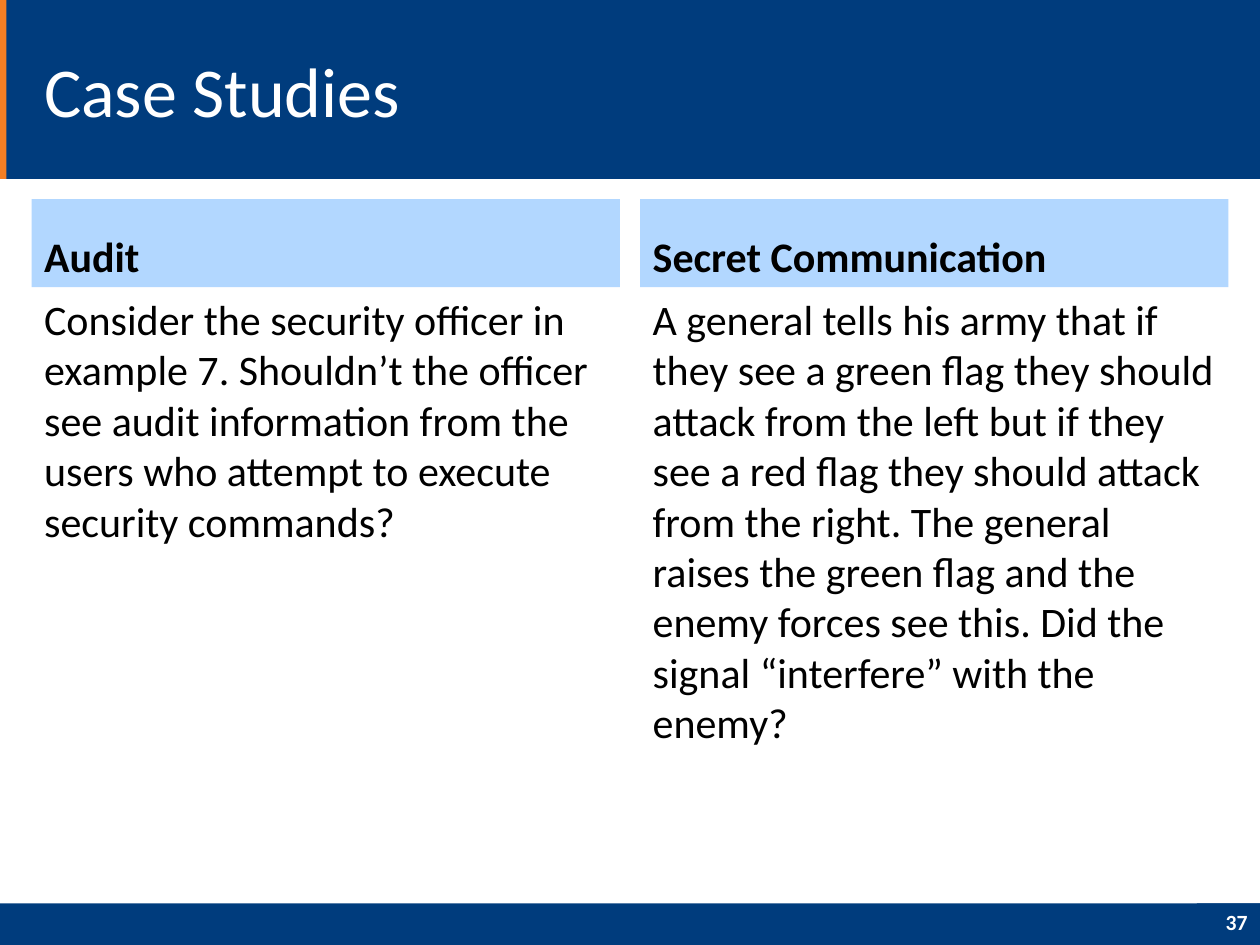
from lxml import etree
from pptx import Presentation
from pptx.dml.color import RGBColor
from pptx.enum import shapes, text
from pptx.oxml.ns import qn
from pptx.util import Inches, Pt

COLORS = {"navy": "003C7D", "orange": "F47F24", "sky": "B2D7FF",
          "black": "000000", "white": "FFFFFF"}
WIDTH, HEIGHT = 10, 7.5
MARGIN, COLUMN_WIDTH, COLUMN_STEP = 0.25, 4.67, 4.83
HEADING_TOP, HEADING_HEIGHT, BODY_HEIGHT = 1.58, 0.7, 4.72
BANNER_HEIGHT, FOOTER_HEIGHT = 1.42, 0.33
FOOTER_TOP = HEIGHT - FOOTER_HEIGHT

CASES = [
    ("Audit",
     "Consider the security officer in example 7. Shouldn’t the officer see "
     "audit information from the users who attempt to execute security commands?"),
    ("Secret Communication",
     "A general tells his army that if they see a green flag they should attack "
     "from the left but if they see a red flag they should attack from the right. "
     "The general raises the green flag and the enemy forces see this. Did the "
     "signal “interfere” with the enemy?"),
]


def write(shape, words, size=24, color="black", bold=False, align="LEFT",
          anchor="TOP", before=0, spacing=1.0):
    """Fill the shape with one unbulleted paragraph."""
    frame = shape.text_frame
    frame.word_wrap = True
    frame.auto_size = text.MSO_AUTO_SIZE.NONE
    frame.vertical_anchor = getattr(text.MSO_ANCHOR, anchor)
    frame.margin_left = frame.margin_right = Inches(0.1)
    frame.margin_top = frame.margin_bottom = Inches(0.05)

    paragraph = frame.paragraphs[0]
    paragraph.alignment = getattr(text.PP_ALIGN, align)
    paragraph.line_spacing = spacing
    paragraph.space_before = Pt(before)
    properties = paragraph._p.get_or_add_pPr()
    properties.set("marL", "0")
    properties.set("indent", "0")
    etree.SubElement(properties, qn("a:buNone"))

    run = paragraph.add_run()
    run.text = words
    run.font.name = "Calibri"
    run.font.size = Pt(size)
    run.font.bold = bold
    run.font.color.rgb = RGBColor.from_string(COLORS[color])


def paint(shape, color):
    shape.fill.solid()
    shape.fill.fore_color.rgb = RGBColor.from_string(COLORS[color])


class ComparisonSlide:
    def __init__(self, deck):
        self.slide = deck.slides.add_slide(deck.slide_layouts.get_by_name("Comparison"))
        self.holders = {holder.placeholder_format.idx: holder
                        for holder in self.slide.placeholders}
        self.backdrop_count = 0

    def bar(self, left, top, width, height, color):
        bar = self.slide.shapes.add_shape(
            shapes.MSO_SHAPE.RECTANGLE,
            Inches(left), Inches(top), Inches(width), Inches(height))
        bar.shadow.inherit = False
        paint(bar, color)
        bar.line.fill.background()
        return bar

    def backdrop(self, *box, color):
        """Add a bar behind the placeholders, above earlier backdrops."""
        bar = self.bar(*box, color)
        self.slide.shapes._spTree.insert(2 + self.backdrop_count, bar._element)
        self.backdrop_count += 1

    def placeholder(self, index, left, top, width, height, words, fill=None, **style):
        holder = self.holders[index]
        holder.left, holder.top = Inches(left), Inches(top)
        holder.width, holder.height = Inches(width), Inches(height)
        if fill:
            paint(holder, fill)
        write(holder, words, **style)

    def case(self, column, heading, question):
        left = MARGIN + column * COLUMN_STEP
        first = 1 + 2 * column
        self.placeholder(first, left, HEADING_TOP, COLUMN_WIDTH, HEADING_HEIGHT,
                         heading, fill="sky", bold=True, anchor="BOTTOM", before=6)
        self.placeholder(first + 1, left, HEADING_TOP + HEADING_HEIGHT,
                         COLUMN_WIDTH, BODY_HEIGHT, question, before=6)


def main():
    deck = Presentation()
    deck.slide_width, deck.slide_height = Inches(WIDTH), Inches(HEIGHT)
    page = ComparisonSlide(deck)

    page.backdrop(0, FOOTER_TOP, WIDTH, FOOTER_HEIGHT, color="navy")
    page.backdrop(0, 0, WIDTH, BANNER_HEIGHT, color="navy")
    page.backdrop(0, 0, 0.05, BANNER_HEIGHT, color="orange")

    page.placeholder(0, MARGIN, 0.17, 7.33, 1.08, "Case Studies",
                     size=40, color="white", anchor="MIDDLE")
    for column, (heading, question) in enumerate(CASES):
        page.case(column, heading, question)

    page_number = page.bar(WIDTH - 0.5, FOOTER_TOP, 0.5, FOOTER_HEIGHT, "navy")
    write(page_number, "37", size=12.4, color="white", bold=True,
          align="RIGHT", anchor="MIDDLE", spacing=0.8)
    deck.save("out.pptx")


if __name__ == "__main__":
    main()
